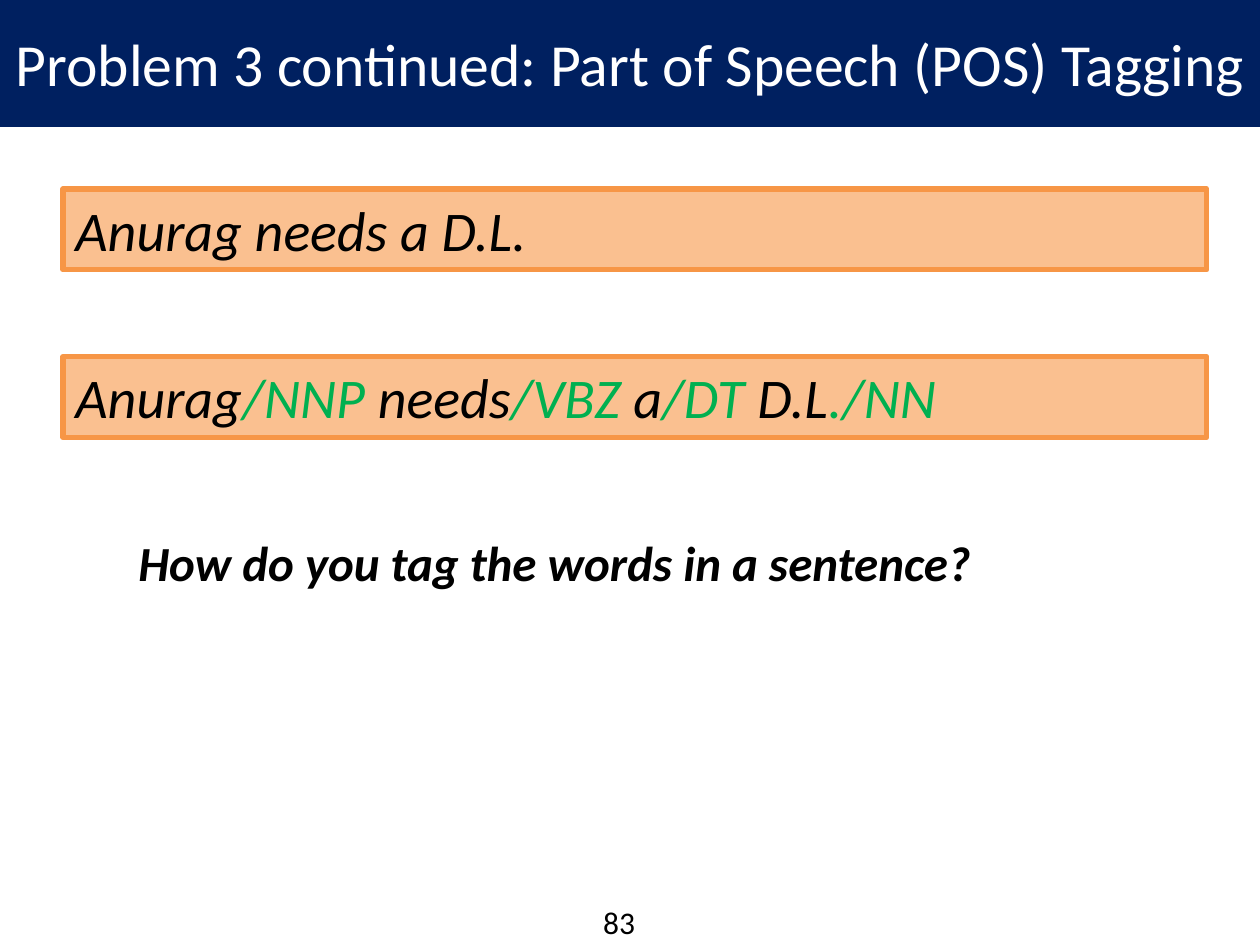
"""Build the slide on part-of-speech tagging."""
from pptx import Presentation
from pptx.dml.color import RGBColor
from pptx.enum.shapes import MSO_SHAPE as Shape
from pptx.enum.text import MSO_ANCHOR as Anchor, MSO_AUTO_SIZE as AutoSize, PP_ALIGN as Align
from pptx.util import Cm, Pt

NAVY = RGBColor(0x00, 0x20, 0x60)
WHITE = RGBColor(0xFF, 0xFF, 0xFF)
BLACK = RGBColor(0x00, 0x00, 0x00)
PEACH = RGBColor(0xFA, 0xC0, 0x90)
ORANGE = RGBColor(0xF7, 0x96, 0x46)
GREEN = RGBColor(0x00, 0xB0, 0x50)

TITLE = "Problem 3 continued: Part of Speech (POS) Tagging"
SENTENCES = [
    [("Anurag needs a D.L.", BLACK)],
    [
        ("Anurag", BLACK), ("/NNP", GREEN),
        (" needs", BLACK), ("/VBZ", GREEN),
        (" a", BLACK), ("/DT", GREEN),
        (" D.L", BLACK), ("./NN", GREEN),
    ],
]
QUESTION = "How do you tag the words in a sentence?"
PAGE_NUMBER = "83"

SLIDE_WIDTH, SLIDE_HEIGHT = Cm(25.4), Cm(19.05)
BANNER_HEIGHT = Cm(2.54)
SENTENCE_LEFT, SENTENCE_TOP = Cm(1.27), Cm(3.81)
SENTENCE_WIDTH, SENTENCE_HEIGHT = Cm(23.06), Cm(1.63)
SENTENCE_PITCH = Cm(3.38)


def write(shape, runs, size, bold=False, italic=False, align=Align.LEFT, anchor=Anchor.TOP):
    frame = shape.text_frame
    frame.word_wrap = True
    frame.auto_size = AutoSize.NONE
    frame.vertical_anchor = anchor
    paragraph = frame.paragraphs[0]
    paragraph.alignment = align
    for text, color in runs:
        run = paragraph.add_run()
        run.text = text
        run.font.name = "Calibri"
        run.font.size = Pt(size)
        run.font.bold = bold
        run.font.italic = italic
        run.font.color.rgb = color


def paint(shape, fill, line, width):
    shape.fill.solid()
    shape.fill.fore_color.rgb = fill
    shape.line.color.rgb = line
    shape.line.width = Pt(width)


def main():
    deck = Presentation()
    deck.slide_width, deck.slide_height = SLIDE_WIDTH, SLIDE_HEIGHT
    slide = deck.slides.add_slide(deck.slide_layouts[5])
    shapes = slide.shapes

    banner = shapes.title
    banner.left, banner.top = Cm(0), Cm(0)
    banner.width, banner.height = SLIDE_WIDTH, BANNER_HEIGHT
    paint(banner, NAVY, NAVY, 0.75)
    banner.text_frame.margin_left = banner.text_frame.margin_right = Cm(0)
    write(banner, [(TITLE, WHITE)], 34.1, align=Align.CENTER, anchor=Anchor.MIDDLE)

    for row, words in enumerate(SENTENCES):
        sentence = shapes.add_shape(
            Shape.RECTANGLE, SENTENCE_LEFT, SENTENCE_TOP + row * SENTENCE_PITCH,
            SENTENCE_WIDTH, SENTENCE_HEIGHT)
        sentence.shadow.inherit = False
        paint(sentence, PEACH, ORANGE, 3)
        write(sentence, words, 32, italic=True)

    question = shapes.add_textbox(Cm(2.54), Cm(10.62), Cm(20.22), Cm(1.45))
    write(question, [(QUESTION, BLACK)], 28, bold=True, italic=True)

    page_number = shapes.add_textbox(Cm(11.63), Cm(18.08), Cm(2.11), Cm(1.02))
    page_number.text_frame.margin_left = Cm(0.53)
    write(page_number, [(PAGE_NUMBER, BLACK)], 18)

    deck.save("out.pptx")


if __name__ == "__main__":
    main()
